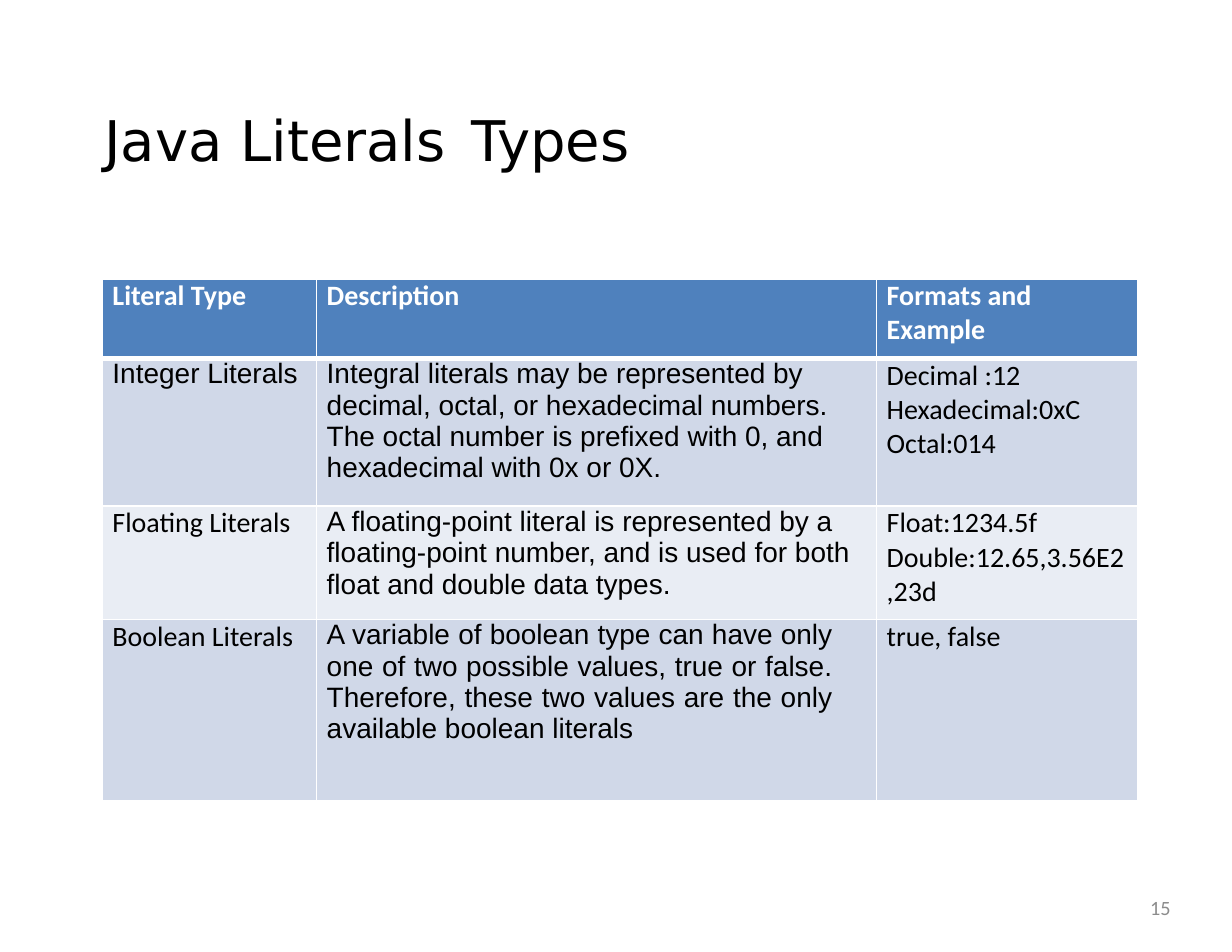
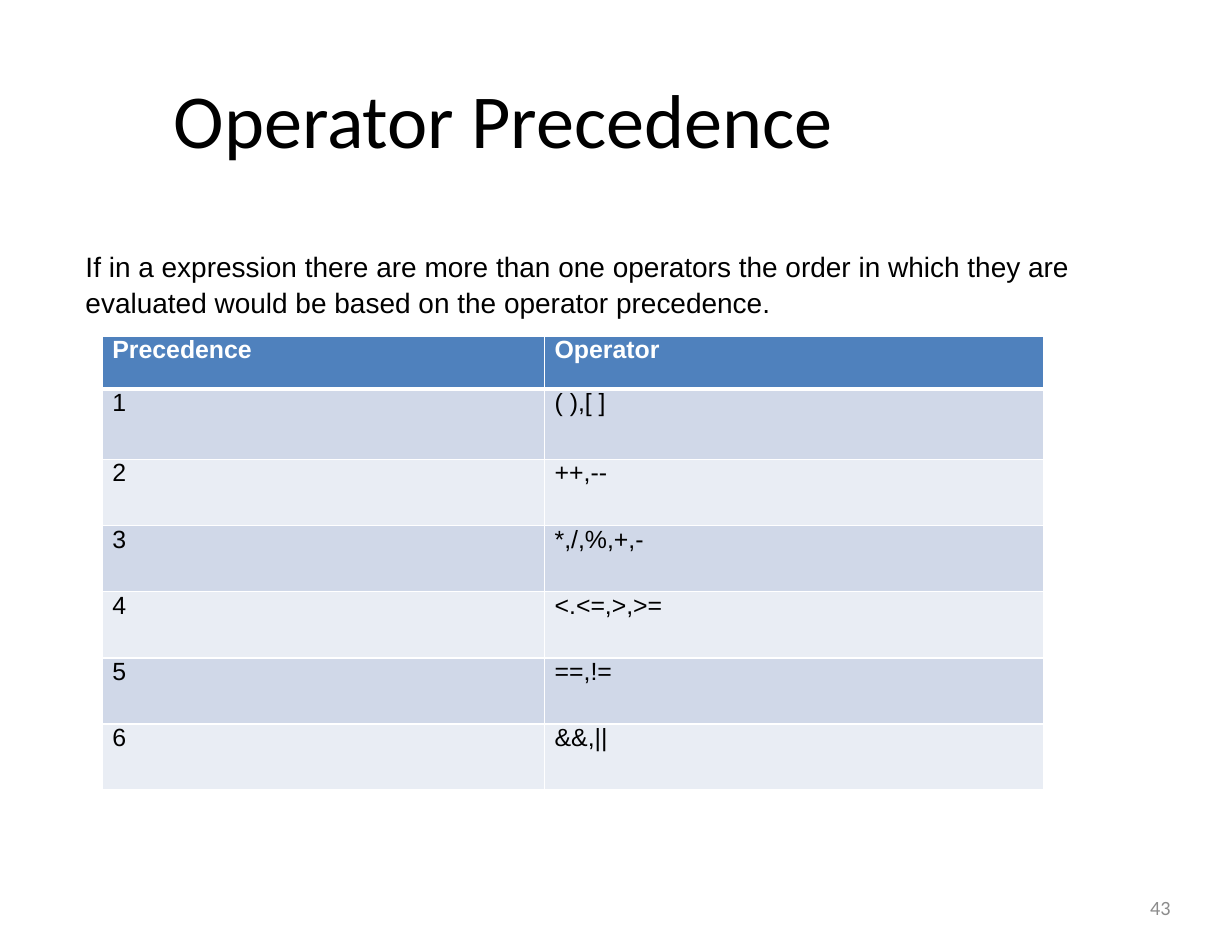
from dataclasses import dataclass

from lxml import etree
from pptx import Presentation
from pptx.dml.color import RGBColor
from pptx.enum.text import MSO_ANCHOR, MSO_AUTO_SIZE, PP_ALIGN
from pptx.oxml.ns import qn
from pptx.util import Cm, Pt

LEFT, RIGHT, JUSTIFY = PP_ALIGN.LEFT, PP_ALIGN.RIGHT, PP_ALIGN.JUSTIFY
TOP, MIDDLE = MSO_ANCHOR.TOP, MSO_ANCHOR.MIDDLE
FIXED = MSO_AUTO_SIZE.NONE
TITLE_ONLY = 5


@dataclass(frozen=True)
class Theme:
    black: str = "000000"
    white: str = "FFFFFF"
    gray: str = "8C8C8C"
    head: str = "4F81BD"
    bands: tuple = ("D0D8E8", "E9EDF4")
    sans: str = "Arial"
    text: str = "Calibri"
    wide: str = "DejaVu Sans"
    small: int = 13
    cell: int = 16
    body: int = 18
    title: int = 36
    large: int = 49
    thin: float = 1.1
    thick: float = 3.1


class Deck:
    def __init__(self, theme):
        self.theme = theme
        self.prs = Presentation()
        self.prs.slide_width, self.prs.slide_height = Cm(27.94), Cm(21.59)
        self.slide = None

    def style(self, frame, font, size, color, bold=False, align=LEFT, space=None):
        for para in frame.paragraphs:
            para.alignment = align
            if space:
                para.line_spacing = space
            for run in para.runs:
                run.font.name, run.font.size = font, Pt(size)
                run.font.bold = bold
                run.font.color.rgb = RGBColor.from_string(color)

    def fill_box(self, shape, box, text, anchor=TOP, indent=0.03):
        shape.left, shape.top, shape.width, shape.height = map(Cm, box)
        frame = shape.text_frame
        frame.text = text
        frame.word_wrap, frame.auto_size = True, FIXED
        frame.vertical_anchor = anchor
        frame.margin_left = Cm(indent)
        frame.margin_right = frame.margin_top = frame.margin_bottom = 0
        return frame

    def start(self, number):
        """Add a slide and its page number."""
        layout = self.prs.slide_layouts[TITLE_ONLY]
        self.slide = self.prs.slides.add_slide(layout)
        self.text((20.02, 20.02, 6.53, 1.14), str(number), self.theme.text,
                  self.theme.small, self.theme.gray, MIDDLE, RIGHT)

    def title(self, box, text, font, size, anchor=TOP, indent=0.03, tab=None, space=1.0):
        frame = self.fill_box(self.slide.shapes.title, box, text, anchor, indent)
        if tab:
            props = frame.paragraphs[0]._p.get_or_add_pPr()
            stops = etree.SubElement(props, qn("a:tabLst"))
            etree.SubElement(stops, qn("a:tab"), pos=str(Cm(tab)), algn="l")
        self.style(frame, font, size, self.theme.black, space=space)

    def text(self, box, text, font, size, color, anchor=TOP, align=LEFT, space=None):
        shape = self.slide.shapes.add_textbox(*map(Cm, box))
        frame = self.fill_box(shape, box, text, anchor)
        self.style(frame, font, size, color, align=align, space=space)

    def edges(self, cell, row):
        """Draw white cell borders, thick between the header and the body."""
        theme = self.theme
        props = cell._tc.get_or_add_tcPr()
        for side in "LRTB":
            heavy = (row, side) in ((0, "B"), (1, "T"))
            width = Pt(theme.thick if heavy else theme.thin)
            line = etree.SubElement(props, qn(f"a:ln{side}"), w=str(width))
            fill = etree.SubElement(line, qn("a:solidFill"))
            etree.SubElement(fill, qn("a:srgbClr"), val=theme.white)

    def table(self, left, top, cols, heights, rows, fonts, size):
        """Add a table; fonts holds one list of font names per row."""
        theme = self.theme
        table = self.slide.shapes.add_table(
            len(rows), len(cols), Cm(left), Cm(top),
            Cm(sum(cols)), Cm(sum(heights))).table
        for col, width in zip(table.columns, cols):
            col.width = Cm(width)
        for r, (values, height) in enumerate(zip(rows, heights)):
            table.rows[r].height = Cm(height)
            for c, value in enumerate(values):
                cell = table.cell(r, c)
                cell.text_frame.text = value
                cell.margin_left, cell.margin_right = Cm(0.23), Cm(0.13)
                cell.margin_top = cell.margin_bottom = 0
                self.edges(cell, r)
                shade = theme.bands[(r - 1) % 2] if r else theme.head
                cell.fill.solid()
                cell.fill.fore_color.rgb = RGBColor.from_string(shade)
                color = theme.black if r else theme.white
                self.style(cell.text_frame, fonts[r][c], size, color, bold=r == 0)
        return table


def literals(deck):
    theme = deck.theme
    sans, text = theme.sans, theme.text
    deck.start(15)
    deck.title((2.34, 2.34, 12.01, 1.55), "Java Literals\tTypes", theme.wide,
               theme.title, tab=8.33, space=1.03)
    rows = [
        ("Literal Type", "Description", "Formats and Example"),
        ("Integer Literals",
         "Integral literals may be represented by decimal, octal, or hexadecimal "
         "numbers. The octal number is prefixed with 0, and hexadecimal with 0x or 0X.",
         "Decimal :12 Hexadecimal:0xC Octal:014"),
        ("Floating Literals",
         "A floating-point literal is represented by a floating-point number, "
         "and is used for both float and double data types.",
         "Float:1234.5f Double:12.65,3.56E2\n,23d"),
        ("Boolean Literals",
         "A variable of boolean type can have only one of two possible values, "
         "true or false. Therefore, these two values are the only available "
         "boolean literals",
         "true, false"),
    ]
    fonts = [[text] * 3, [sans, sans, text]] + [[text, sans, text]] * 2
    table = deck.table(2.32, 6.33, (4.86, 12.7, 5.92), (1.8, 3.35, 2.57, 4.12),
                       rows, fonts, theme.body)
    boolean = table.cell(3, 1)
    boolean.margin_right = Cm(1)
    boolean.text_frame.paragraphs[0].alignment = JUSTIFY


def operators(deck):
    theme = deck.theme
    deck.start(43)
    deck.title((1.4, 1.63, 25.15, 2.08), "Operator Precedence", theme.text,
               theme.large, MIDDLE, indent=2.54)
    deck.text((1.91, 5.59, 22.35, 1.47),
              "If in a expression there are more than one operators the order in "
              "which they are evaluated would be based on the operator precedence.",
              theme.sans, theme.body, theme.black, space=1.08)
    signs = ("( ),[ ]", "++,--", "*,/,%,+,-", "<.<=,>,>=", "==,!=", "&&,||")
    rows = [("Precedence", "Operator")]
    rows += [(str(rank), sign) for rank, sign in enumerate(signs, 1)]
    heights = [1.2, 1.6] + [1.5] * 5
    deck.table(2.32, 7.62, (10.03, 11.33), heights, rows,
               [[theme.sans] * 2] * len(rows), theme.cell)


def main():
    deck = Deck(Theme())
    literals(deck)
    operators(deck)
    deck.prs.save("out.pptx")


if __name__ == "__main__":
    main()
